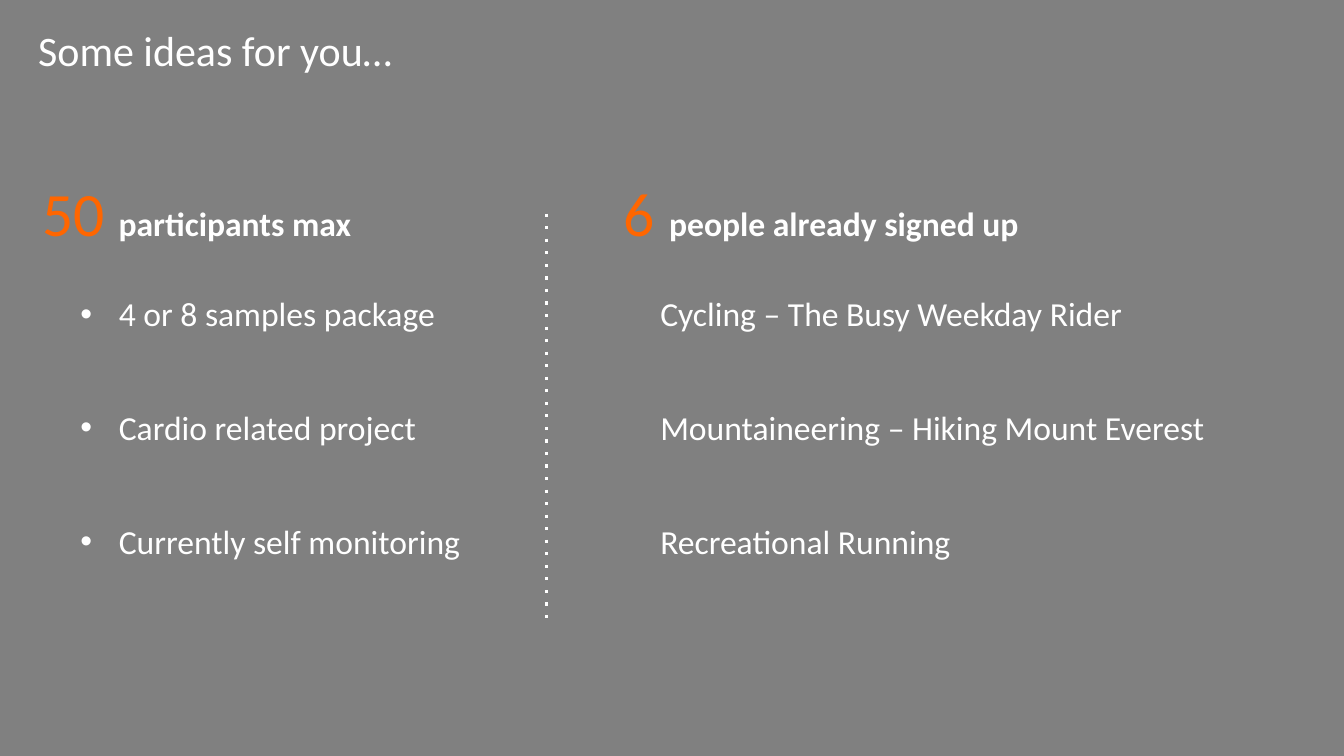
from lxml.etree import SubElement
from pptx import Presentation
from pptx.dml.color import RGBColor
from pptx.enum.shapes import MSO_CONNECTOR, MSO_SHAPE
from pptx.enum.text import MSO_ANCHOR, MSO_AUTO_SIZE, PP_ALIGN
from pptx.oxml.ns import qn
from pptx.util import Inches, Pt

GREY = "808080"
WHITE = "FFFFFF"
ORANGE = "FF6600"
FIRST_ROW_TOP = 2.62
ROW_STEP = 1.13


def rgb(value):
    return RGBColor.from_string(value)


def add_run(paragraph, text, size, color=WHITE, bold=False):
    run = paragraph.add_run()
    run.text = text
    run.font.name = "Calibri"
    run.font.size = Pt(size)
    run.font.bold = bold
    run.font.color.rgb = rgb(color)


def add_heading(slide, left, top, width, height):
    heading = slide.shapes.add_textbox(
        Inches(left), Inches(top), Inches(width), Inches(height))
    heading.text_frame.word_wrap = True
    heading.text_frame.auto_size = MSO_AUTO_SIZE.SHAPE_TO_FIT_TEXT
    return heading.text_frame.paragraphs[0]


def add_count(slide, left, width, number, label):
    count = add_heading(slide, left, 1.69, width, 0.84)
    add_run(count, number + " ", 44, ORANGE)
    add_run(count, label, 24, bold=True)


def add_bullet(paragraph):
    properties = paragraph._p.get_or_add_pPr()
    properties.set("marL", str(Inches(0.38)))
    properties.set("indent", str(Inches(-0.38)))
    SubElement(properties, qn("a:buFont"), typeface="Arial")
    SubElement(properties, qn("a:buChar"), char="•")


def add_ideas(slide, left, width, ideas, bulleted=False):
    for row, idea in enumerate(ideas):
        panel = slide.shapes.add_shape(
            MSO_SHAPE.RECTANGLE, Inches(left),
            Inches(FIRST_ROW_TOP + row * ROW_STEP),
            Inches(width), Inches(0.98))
        panel.shadow.inherit = False
        panel.fill.solid()
        panel.fill.fore_color.rgb = rgb(GREY)
        panel.line.fill.background()
        panel.text_frame.word_wrap = True
        panel.text_frame.vertical_anchor = MSO_ANCHOR.MIDDLE
        paragraph = panel.text_frame.paragraphs[0]
        paragraph.alignment = PP_ALIGN.LEFT
        if bulleted:
            add_bullet(paragraph)
        add_run(paragraph, idea, 24)


def add_divider(slide, x, top, bottom):
    divider = slide.shapes.add_connector(
        MSO_CONNECTOR.STRAIGHT, Inches(x), Inches(top), Inches(x), Inches(bottom))
    divider.line.color.rgb = rgb(WHITE)
    divider.line.width = Pt(2.25)
    properties = divider._element.spPr
    SubElement(properties.find(qn("a:ln")), qn("a:prstDash"), val="dot")
    SubElement(properties, qn("a:effectLst"))


def main():
    presentation = Presentation()
    presentation.slide_width = Inches(13.33)
    presentation.slide_height = Inches(7.5)
    slide = presentation.slides.add_slide(presentation.slide_layouts[6])
    slide.background.fill.solid()
    slide.background.fill.fore_color.rgb = rgb(GREY)

    add_run(add_heading(slide, 0.28, 0.19, 11.03, 0.61), "Some ideas for you…", 30)
    add_count(slide, 6.09, 4.3, "6", "people already signed up")
    add_count(slide, 0.32, 6.35, "50", "participants max")
    add_ideas(slide, 6.45, 5.85, [
        "Cycling – The Busy Weekday Rider",
        "Mountaineering – Hiking Mount Everest",
        "Recreational Running",
    ])
    add_ideas(slide, 0.7, 4.33, [
        "4 or 8 samples package",
        "Cardio related project",
        "Currently self monitoring",
    ], bulleted=True)
    add_divider(slide, 5.42, 2.12, 6.17)
    presentation.save("out.pptx")


if __name__ == "__main__":
    main()
